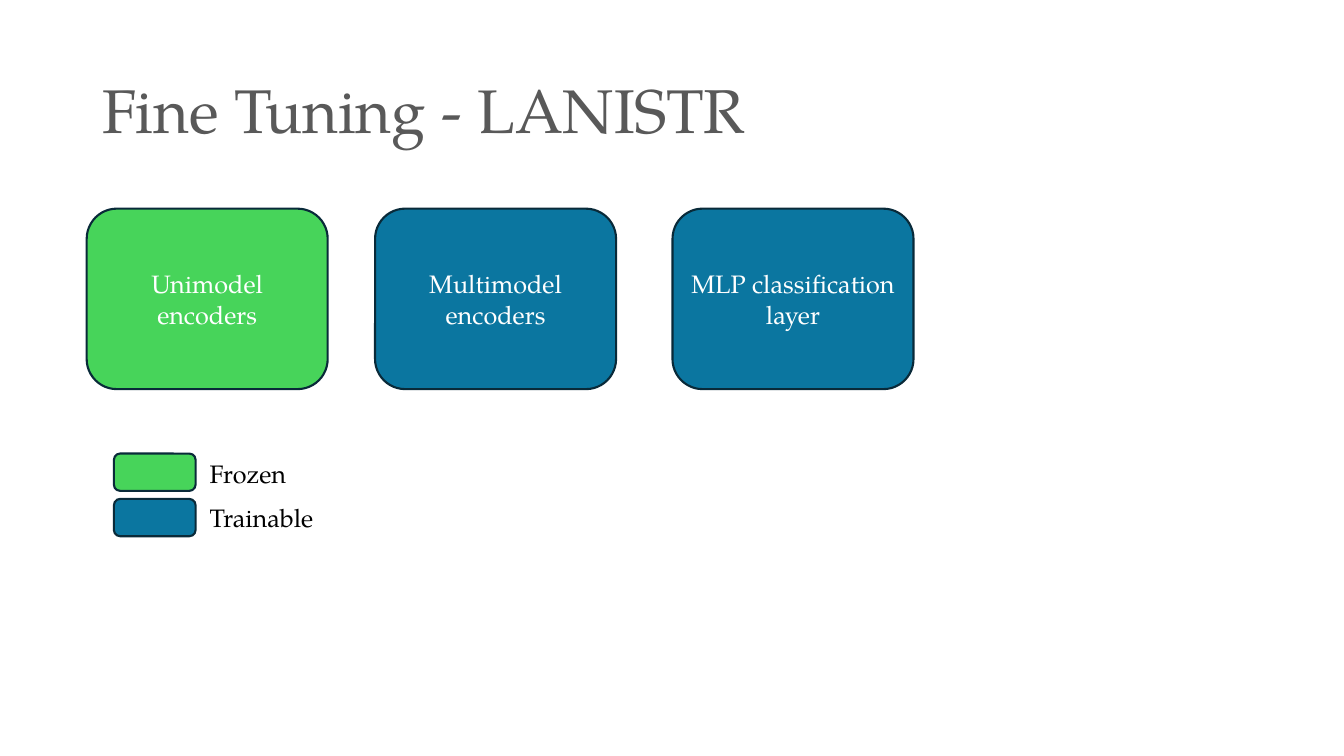
import pptx
import pptx.util
import pptx.dml.color
import pptx.enum.shapes
import pptx.enum.text

Inches = pptx.util.Inches
Pt = pptx.util.Pt
RGBColor = pptx.dml.color.RGBColor
PP_ALIGN = pptx.enum.text.PP_ALIGN
MSO_ANCHOR = pptx.enum.text.MSO_ANCHOR

FONT = "TeX Gyre Pagella"
GREEN = RGBColor(0x47, 0xD4, 0x5A)
BLUE = RGBColor(0x0B, 0x76, 0xA0)
OUTLINE = RGBColor(0x09, 0x2A, 0x39)
GRAY = RGBColor(0x59, 0x59, 0x59)
WHITE = RGBColor(0xFF, 0xFF, 0xFF)
BLACK = RGBColor(0, 0, 0)

HEADING = "Fine Tuning - LANISTR"
STAGES = [
    ("Unimodel encoders", GREEN, 0.86),
    ("Multimodel encoders", BLUE, 3.72),
    ("MLP classification layer", BLUE, 6.67),
]
LEGEND = [("Frozen", GREEN, 1.29), ("Trainable", BLUE, 1.67)]
LEGEND_TOP = 4.5
SWATCH_STEP = 0.45
LABEL_STEP = 0.43


def write(frame, text, size, color, align=PP_ALIGN.LEFT):
    frame.word_wrap = True
    frame.text = text
    paragraph = frame.paragraphs[0]
    paragraph.alignment = align
    paragraph.font.name = FONT
    paragraph.font.size = Pt(size)
    paragraph.font.color.rgb = color
    return paragraph


def add_rounded(slide, left, top, width, height, color):
    rounded = slide.shapes.add_shape(
        pptx.enum.shapes.MSO_SHAPE.ROUNDED_RECTANGLE,
        Inches(left), Inches(top), Inches(width), Inches(height))
    rounded.shadow.inherit = False
    rounded.fill.solid()
    rounded.fill.fore_color.rgb = color
    rounded.line.color.rgb = OUTLINE
    rounded.line.width = Pt(1.5)
    return rounded


def main():
    deck = pptx.Presentation()
    deck.slide_width = Inches(13.33)
    deck.slide_height = Inches(7.5)
    slide = deck.slides.add_slide(deck.slide_layouts[5])

    heading = slide.shapes.title
    heading.left, heading.top = Inches(0.92), Inches(0.4)
    heading.width, heading.height = Inches(11.5), Inches(1.45)
    heading.text_frame.vertical_anchor = MSO_ANCHOR.MIDDLE
    write(heading.text_frame, HEADING, 44, GRAY).line_spacing = 0.9

    for name, color, left in STAGES:
        stage = add_rounded(slide, left, 2.07, 2.39, 1.79, color)
        stage.text_frame.vertical_anchor = MSO_ANCHOR.MIDDLE
        write(stage.text_frame, name, 18, WHITE, PP_ALIGN.CENTER)

    for row, (meaning, color, width) in enumerate(LEGEND):
        add_rounded(slide, 1.13, LEGEND_TOP + row * SWATCH_STEP, 0.81, 0.37, color)
        label = slide.shapes.add_textbox(
            Inches(1.98), Inches(LEGEND_TOP + row * LABEL_STEP), Inches(width), Inches(0.4))
        label.text_frame.auto_size = pptx.enum.text.MSO_AUTO_SIZE.SHAPE_TO_FIT_TEXT
        write(label.text_frame, meaning, 18, BLACK)

    deck.save("out.pptx")


if __name__ == "__main__":
    main()
